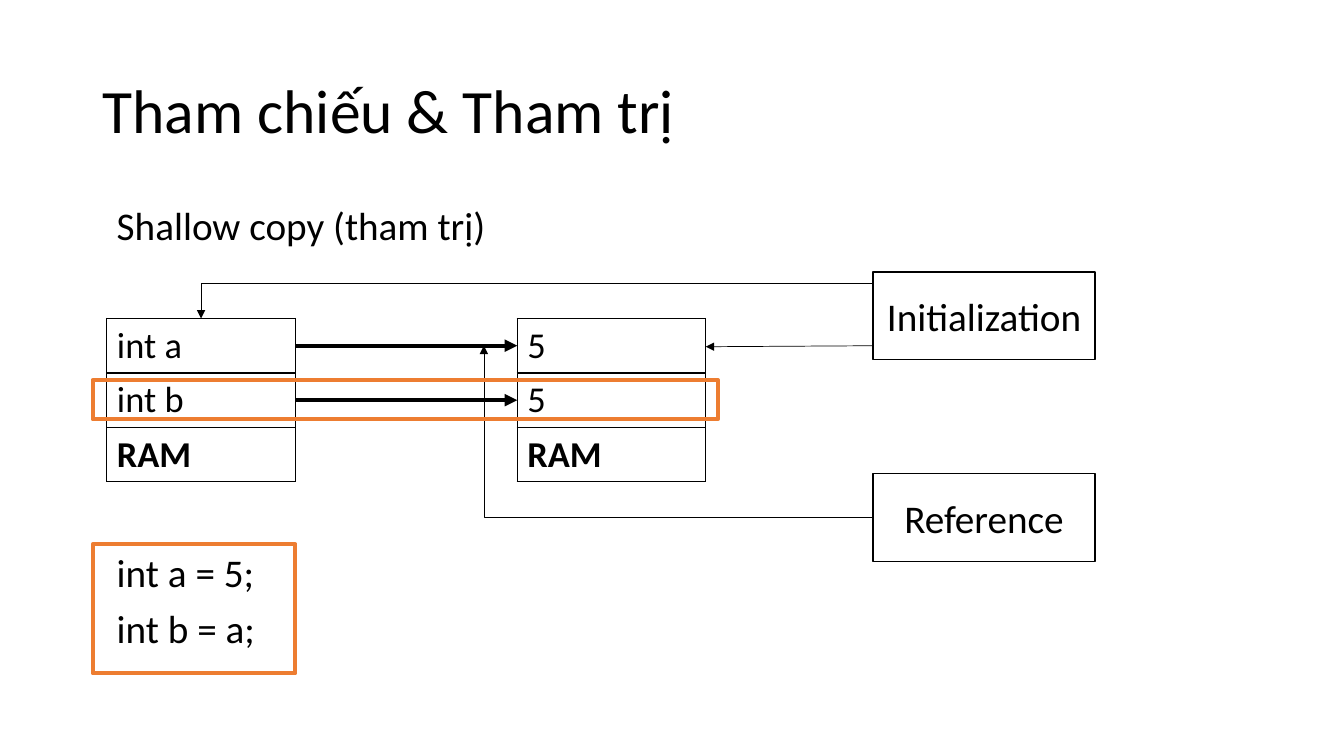
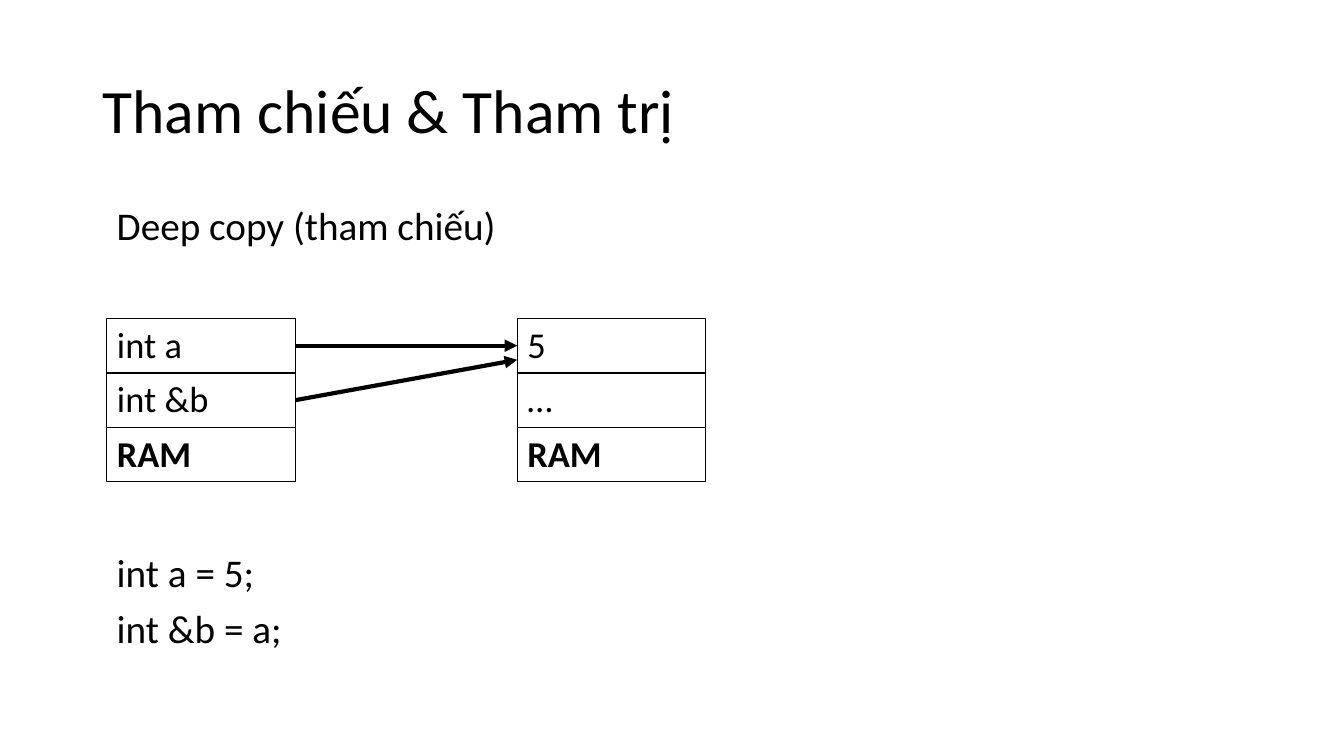
"""Two slides that compare copying a value with referring to it."""
from lxml.etree import SubElement
from pptx import Presentation
from pptx.dml.color import RGBColor
from pptx.enum.shapes import MSO_CONNECTOR, MSO_SHAPE
from pptx.enum.text import MSO_ANCHOR, PP_ALIGN
from pptx.oxml import parse_xml
from pptx.oxml.ns import nsdecls, qn
from pptx.util import Inches, Pt

BLACK = RGBColor(0x00, 0x00, 0x00)
WHITE = RGBColor(0xFF, 0xFF, 0xFF)
ORANGE = RGBColor(0xED, 0x7D, 0x31)
FONT = "Calibri"
NAME_X, VALUE_X, TABLE_Y = 1.06, 5.13, 3.16
COL_W, ROW_H = 1.87, 0.54
NOTE_X, NOTE_W, NOTE_H = 8.66, 2.2, 0.87
FRAME_X = 0.92
NAME_RIGHT = NAME_X + COL_W
VALUE_RIGHT = VALUE_X + COL_W
ROW_A = TABLE_Y + ROW_H / 2
ROW_B = ROW_A + ROW_H


def write(tf, lines, size=28, align=PP_ALIGN.LEFT, anchor=MSO_ANCHOR.TOP,
          spacing=0.9, before=10):
    """Fill a text frame with one paragraph per line."""
    tf.word_wrap = True
    tf.vertical_anchor = anchor
    for i, line in enumerate(lines):
        p = tf.paragraphs[0] if i == 0 else tf.add_paragraph()
        p.text = line
        p.alignment = align
        p.line_spacing = spacing
        p.space_before = Pt(before)
        p.font.name = FONT
        p.font.size = Pt(size)
        p.font.color.rgb = BLACK


def arrow(slide, start, end, width, bent=False):
    """Draw a straight or right-angled arrow between two points."""
    kind = MSO_CONNECTOR.ELBOW if bent else MSO_CONNECTOR.STRAIGHT
    sp = slide.shapes.add_connector(kind, *[Inches(v) for v in start + end])
    sp.line.color.rgb = BLACK
    sp.line.width = Pt(width)
    sppr = sp._element.spPr
    if bent:
        sppr.find(qn("a:prstGeom")).set("prst", "bentConnector2")
    SubElement(sppr.find(qn("a:ln")), qn("a:tailEnd"), type="triangle")
    SubElement(sppr, qn("a:effectLst"))


prs = Presentation()
prs.slide_width = Inches(13.33)
prs.slide_height = Inches(7.5)

contents = [
    ("Shallow copy (tham trị)", ["int a", "int b", "RAM"], ["5", "5", "RAM"],
     ["int a = 5;", "int b = a;"], (ROW_B, ROW_B)),
    ("Deep copy (tham chiếu)", ["int a", "int &b", "RAM"], ["5", "…", "RAM"],
     ["int a = 5;", "int &b = a;"], (ROW_B, 3.57)),
]

for subtitle, names, values, code, (b_start, b_end) in contents:
    slide = prs.slides.add_slide(prs.slide_layouts[6])

    title = slide.shapes.add_textbox(Inches(0.92), Inches(0.4), Inches(11.5), Inches(1.45))
    write(title.text_frame, ["Tham chiếu & Tham trị"], 44, anchor=MSO_ANCHOR.MIDDLE, before=0)
    for lines, top, height in (([subtitle], 2, 0.82), (code, 5.44, 1.54)):
        box = slide.shapes.add_textbox(Inches(NAME_X), Inches(top), Inches(7.94), Inches(height))
        write(box.text_frame, lines)

    for left, rows in ((NAME_X, names), (VALUE_X, values)):
        table = slide.shapes.add_table(len(rows), 1, Inches(left), Inches(TABLE_Y),
                                       Inches(COL_W), Inches(ROW_H * len(rows))).table
        table.first_row = table.horz_banding = False
        for i, text in enumerate(rows):
            cell = table.cell(i, 0)
            write(cell.text_frame, [text], 26, spacing=1, before=0)
            cell.text_frame.paragraphs[0].font.bold = text == "RAM"
            tcpr = cell._tc.get_or_add_tcPr()
            for side in ("lnL", "lnR", "lnT", "lnB"):
                tcpr.append(parse_xml(
                    f'<a:{side} {nsdecls("a")} w="{Pt(1)}"><a:solidFill>'
                    f'<a:srgbClr val="{BLACK}"/></a:solidFill></a:{side}>'))
            cell.fill.solid()
            cell.fill.fore_color.rgb = WHITE

    arrow(slide, (NAME_RIGHT, ROW_A), (VALUE_X, ROW_A), 3)
    arrow(slide, (NAME_RIGHT, b_start), (VALUE_X, b_end), 3)

shallow = prs.slides[0]
arrow(shallow, (NOTE_X, ROW_A), (VALUE_RIGHT, 3.44), 0.5)
arrow(shallow, (NOTE_X, 2.81), (NAME_X + COL_W / 2, TABLE_Y), 0.5, bent=True)
arrow(shallow, (NOTE_X, 4.7 + NOTE_H / 2), (4.8, ROW_A), 0.5, bent=True)

for label, top in (("Initialization", 2.7), ("Reference", 4.7)):
    note = shallow.shapes.add_shape(MSO_SHAPE.RECTANGLE, Inches(NOTE_X), Inches(top),
                                    Inches(NOTE_W), Inches(NOTE_H))
    note.shadow.inherit = False
    note.fill.solid()
    note.fill.fore_color.rgb = WHITE
    note.line.color.rgb = BLACK
    note.line.width = Pt(1)
    write(note.text_frame, [label], align=PP_ALIGN.CENTER, anchor=MSO_ANCHOR.MIDDLE, spacing=1)

for top, width, height in ((3.77, 6.2, 0.39), (5.4, 2.01, 1.28)):
    frame = shallow.shapes.add_shape(MSO_SHAPE.RECTANGLE, Inches(FRAME_X), Inches(top),
                                     Inches(width), Inches(height))
    frame.shadow.inherit = False
    frame.fill.background()
    frame.line.color.rgb = ORANGE
    frame.line.width = Pt(3)

prs.save("out.pptx")
